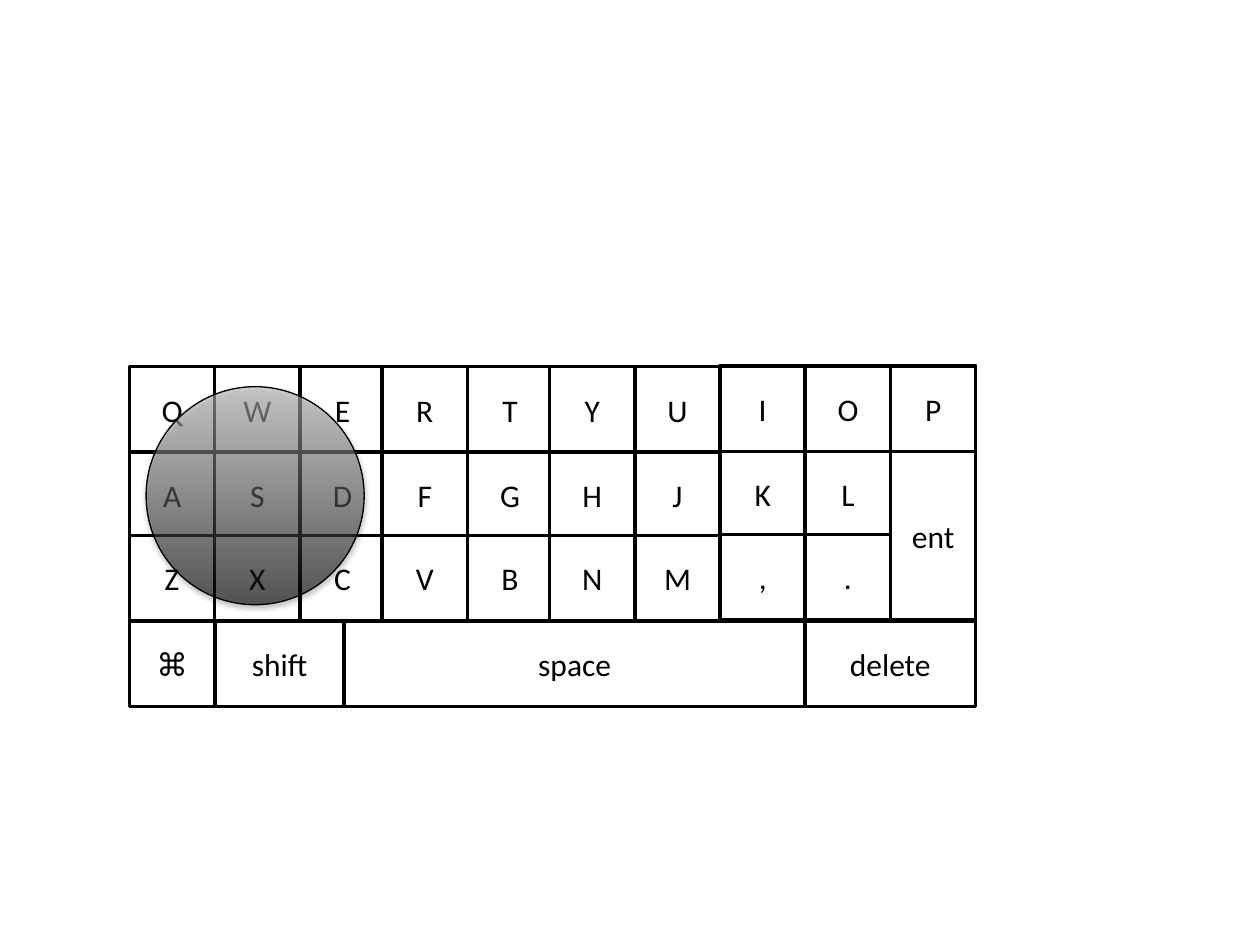
from pptx import Presentation
from pptx.dml.color import RGBColor
from pptx.enum.shapes import MSO_SHAPE as Shape
from pptx.enum.text import MSO_ANCHOR as Anchor, PP_ALIGN as Align
from pptx.oxml.ns import qn
from pptx.util import Pt
from lxml.etree import SubElement

COLORS = {"ink": "000000", "key": "FFFFFF", "highlight": "BDBDBD"}
LABEL_FORMAT = {"size": Pt(18), "name": "Calibri"}
KEY_W, KEY_H = 48.7, 48.9
COLUMN_OVERLAP, ROW_OVERLAP = 1.7, 1.4
RAISED_FROM, RAISE = 7, 0.5  # the last columns sit slightly higher
LETTER_ROWS = ["QWERTYUIOP", "ASDFGHJKL", "ZXCVBNM,."]


def rgb(name):
    return RGBColor.from_string(COLORS[name])


def add_outlined(slide, preset, box, line_width):
    outlined = slide.shapes.add_shape(preset, *(Pt(v) for v in box))
    outlined.shadow.inherit = False
    outlined.line.color.rgb = rgb("ink")
    outlined.line.width = Pt(line_width)
    return outlined


def add_key(slide, label, box):
    key = add_outlined(slide, Shape.RECTANGLE, box, 2)
    key.fill.solid()
    key.fill.fore_color.rgb = rgb("key")
    key.text_frame.vertical_anchor = Anchor.MIDDLE
    paragraph = key.text_frame.paragraphs[0]
    paragraph.alignment = Align.CENTER
    run = paragraph.add_run()
    run.text = label
    for attribute, value in LABEL_FORMAT.items():
        setattr(run.font, attribute, value)
    run.font.color.rgb = rgb("ink")


def add_bottom_row(slide, left, top, width):
    """Command, shift and delete have fixed widths; space takes the rest."""
    command, shift, delete = KEY_W, 74, 97.3
    space = width - command - shift - delete
    for label, key_width in [("⌘", command), ("shift", shift),
                             ("space", space), ("delete", delete)]:
        add_key(slide, label, (left, top, key_width, KEY_H))
        left += key_width


def add_letter_keys(slide, left, top):
    # The fourth and sixth columns and the third row overlap their neighbours
    def column_left(column):
        overlaps = (column >= 3) + (column >= 5)
        return left + column * KEY_W - overlaps * COLUMN_OVERLAP

    def key_top(row, column):
        raised = RAISE if column >= RAISED_FROM else 0
        return top + row * KEY_H - (row >= 2) * ROW_OVERLAP - raised

    for row, letters in enumerate(LETTER_ROWS):
        for column, letter in enumerate(letters):
            add_key(slide, letter, (column_left(column), key_top(row, column),
                                    KEY_W, KEY_H))
    # Enter spans the last two rows
    add_key(slide, "ent", (column_left(9), key_top(1, 9),
                           KEY_W, 2 * KEY_H - ROW_OVERLAP))


def add_touch_circle(slide, left, top, diameter):
    circle = add_outlined(slide, Shape.OVAL, (left, top, diameter, diameter), 0.75)
    circle.fill.gradient()
    circle.fill.gradient_angle = 90
    for stop, color in zip(circle.fill.gradient_stops, ("ink", "highlight")):
        stop.color.rgb = rgb(color)
    # Transparency and shadow
    properties = circle._element.spPr
    for stop_color in properties.iterfind(f".//{qn('a:gs')}/{qn('a:srgbClr')}"):
        SubElement(stop_color, qn("a:alpha"), val="59000")
    shadow = SubElement(properties.find(qn("a:effectLst")), qn("a:outerShdw"),
                        blurRad=str(Pt(3.1)), dist=str(Pt(1.8)),
                        dir="5400000", rotWithShape="0")
    shadow_color = SubElement(shadow, qn("a:srgbClr"), val=COLORS["ink"])
    SubElement(shadow_color, qn("a:alpha"), val="35000")


def main():
    presentation = Presentation()
    presentation.slide_width, presentation.slide_height = Pt(720), Pt(540)
    slide = presentation.slides.add_slide(presentation.slide_layouts[6])

    left, top = 74, 209.5
    add_bottom_row(slide, left, top + 3 * KEY_H - ROW_OVERLAP, 483.4)
    add_letter_keys(slide, left, top)
    add_touch_circle(slide, 83.5, 221, 124.6)

    presentation.save("out.pptx")


if __name__ == "__main__":
    main()
